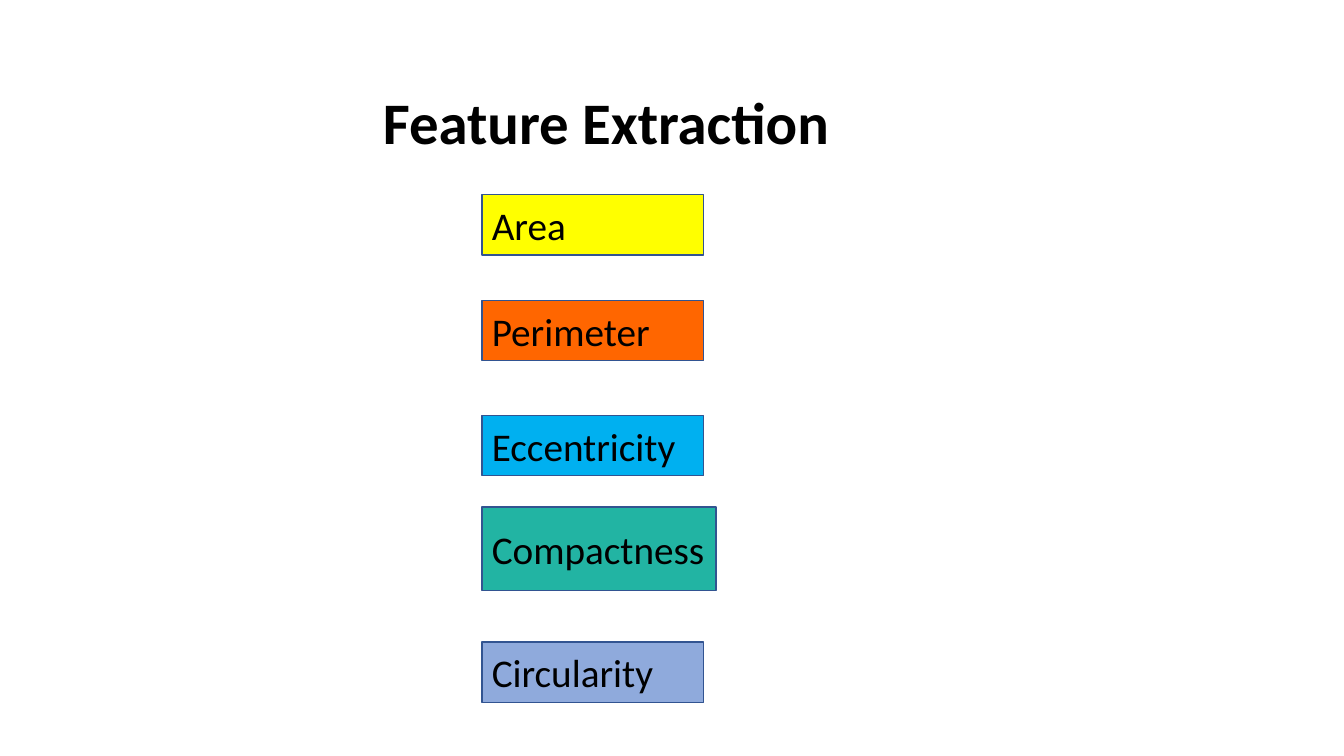
from pptx import Presentation
from pptx.dml.color import RGBColor
from pptx.enum.shapes import MSO_SHAPE
from pptx.enum.text import MSO_ANCHOR, PP_ALIGN
from pptx.util import Inches, Pt

RECT = MSO_SHAPE.RECTANGLE
MIDDLE = MSO_ANCHOR.MIDDLE
LEFT = PP_ALIGN.LEFT


def rgb(value):
    return RGBColor.from_string(value)


def write(tf, text, **font):
    tf.word_wrap = True
    p = tf.paragraphs[0]
    p.alignment = LEFT
    r = p.add_run()
    r.text = text
    r.font.color.rgb = rgb("000000")
    for name, value in font.items():
        setattr(r.font, name, value)
    return p


prs = Presentation()
prs.slide_width = Inches(13.33)
prs.slide_height = Inches(7.5)
s = prs.slides.add_slide(prs.slide_layouts[6])

# Title
sp = s.shapes.add_textbox(Inches(3.7), Inches(0.88), Inches(5.54), Inches(0.8))
p = write(sp.text_frame, "Feature Extraction", name="Calibri", size=Pt(42), bold=True)
p.line_spacing = 0.9
p.space_before = Pt(10)

# Feature boxes: text, fill, top, width, height
features = [
    ("Area", "FFFF00", 1.93, 2.2, 0.6),
    ("Perimeter", "FF6600", 2.98, 2.2, 0.6),
    ("Eccentricity", "00B0F0", 4.12, 2.2, 0.6),
    ("Compactness", "22B4A3", 5.03, 2.32, 0.83),
    ("Circularity", "8FAADC", 6.37, 2.2, 0.6),
]
for text, fill, top, width, height in features:
    sp = s.shapes.add_shape(RECT, Inches(4.78), Inches(top), Inches(width), Inches(height))
    sp.shadow.inherit = False
    sp.fill.solid()
    sp.fill.fore_color.rgb = rgb(fill)
    sp.line.color.rgb = rgb("325491")
    sp.line.width = Pt(1)
    tf = sp.text_frame
    tf.vertical_anchor = MIDDLE
    write(tf, text, name="Calibri", size=Pt(28))

prs.save("out.pptx")
